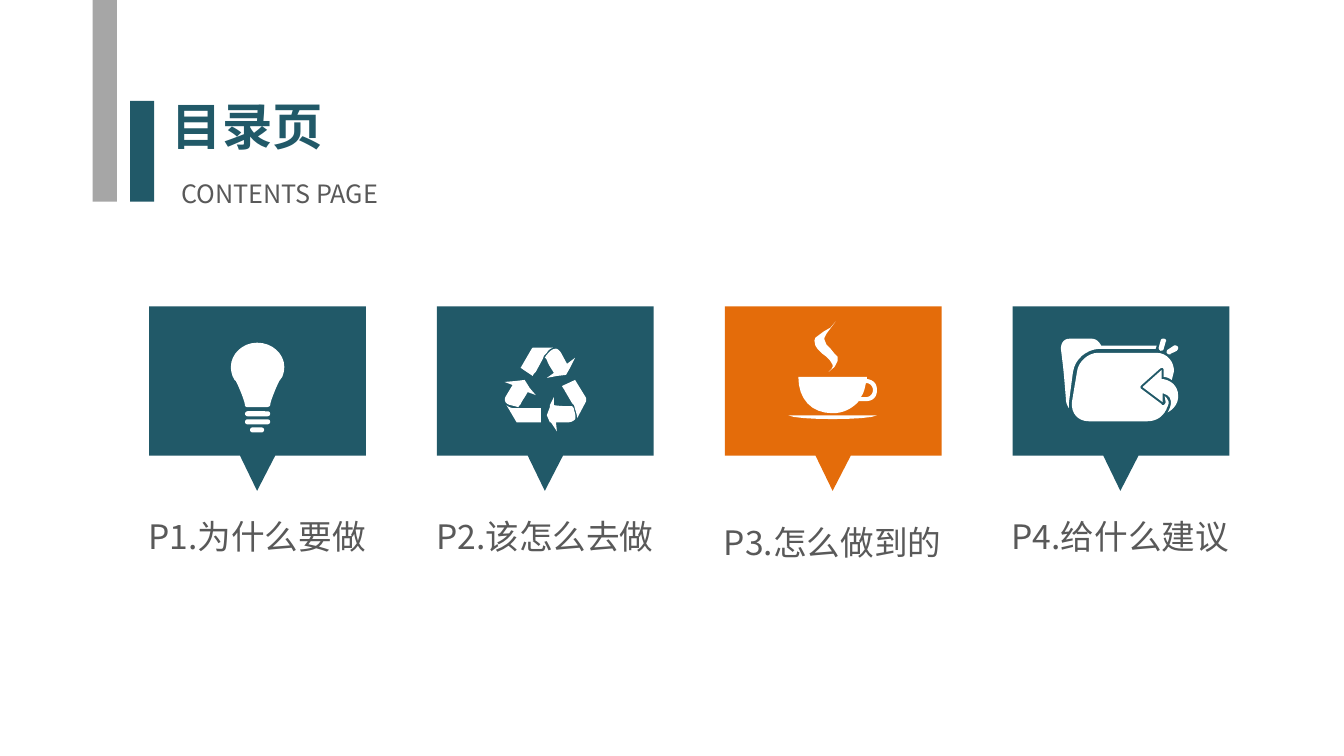
"""Build a contents slide with four callouts, each holding an icon and a caption."""
from pptx import Presentation
from pptx.dml.color import RGBColor
from pptx.enum.shapes import MSO_SHAPE
from pptx.enum.text import MSO_ANCHOR, MSO_AUTO_SIZE, PP_ALIGN
from pptx.oxml.ns import qn
from pptx.util import Inches, Pt

COLORS = {"teal": "215968", "orange": "E46C0A", "silver": "A6A6A6",
          "gray": "595959", "white": "FFFFFF"}
GRID_COLUMNS, GRID_ROWS = 1333, 750
CALLOUT_LEFT, CALLOUT_TOP, CALLOUT_PITCH = 148, 304, 285.4
CALLOUT = "0,0 215,0 215,148 125,148 107,183 90,148 0,148"

BULB = ["""134,60 134,47/122,36/107,36 93,36/81,47/81,60 81,64/82,67/83,70
    84,71/84,73/86,74 90,82/95,95/95,98 95,99/96,100/98,100 116,100
    118,100/120,99/120,98 120,95/125,82/129,74 130,73/131,71/132,70
    133,67/134,64/134,60"""]
BULB_BARS = [(95, 104, 25, 5), (95, 112, 25, 5), (100, 120, 14, 5)]

RECYCLING = ["""132,61 128,68 119,69 109,71 116,66 113,61/110,57/109,53
    108,52/108,51/107,51 108,49/109,48/109,48 112,44/115,42/118,42
    119,42/121,43/123,46 129,57 137,51
    | 109,46 110,44/112,42/115,41 95,41 94,42 83,61 95,69 95,68/97,66/98,65
    105,52 106,49
    | 119,124 118,115 130,115 133,115/135,114/137,112 138,110/137,106/136,103
    136,101/135,100/134,99 133,99/133,99/131,99 127,99/123,99/116,98
    116,90 112,98 112,100 109,108 112,115 113,115
    | 137,102 138,105/139,108/139,111 148,94 148,91 137,73 124,79
    125,81/126,82/127,84 134,96 136,98
    | 67,75 75,78 69,88 67,91/67,93/68,95 70,98/74,98/77,99
    78,99/80,100/81,100 81,99/82,98/83,97 84,94/88,89/90,85
    98,88 92,81 87,73 78,74
    | 77,101 74,101/71,100/69,98 79,115 103,115 103,101"""]

CUP = ["""73,70 73,92/86,106/107,106 118,106/127,101/133,94 140,94
    147,94/151,90/151,83 151,77/148,73/141,72 141,70
    | 140,90 135,90 138,86/139,81/140,76 144,76/147,79/147,83
    147,87/144,90/140,90""",
       "63,108 70,113/144,113/151,108",
       """103,65 109,60 112,54 112,50 109,47 105,42 101,38 99,33 99,31 101,27
    107,19 110,15 105,21 98,25 94,28 90,31 89,34 90,39 92,42 97,47 101,50
    104,53 106,56 107,58 107,60 106,62"""]

FOLDER = ["""147,44 146,44/145,42/145,41 147,34 147,32/149,32/150,32
    152,32/153,34/152,35 150,42 150,43/149,44/147,44""",
          """153,46 153,45/153,43/154,43 160,39 161,38/163,39/164,40
    165,41/164,43/163,44 157,47 157,48/154,48/153,46""",
          """164,85 162,75/152,72/148,72 148,63 129,80 149,95 149,86
    164,90/154,105/154,105 154,105/167,99/164,85""",
          """60,65 62,52/73,43/86,42 142,42 143,39 88,39 86,35/83,32/78,32
    57,32 49,32/48,39/48,42 50,58 51,68 53,92 53,95/54,98/56,101 56,95""",
          """143,46 85,46 75,46/65,55/64,65 59,95 58,106/65,114/76,114
    133,114 141,114/147,111/151,105 152,103/153,102/153,101
    154,99/155,97/155,95 155,94/154,93/153,91 151,89 152,95
    152,96/151,97/150,98 149,98/148,98/148,97 128,82 127,81/127,81/127,80
    127,79/127,79/128,78 146,62 147,61/148,61/149,61 149,61/150,62/150,63
    150,70 153,70/155,71/158,73 160,65 161,55/153,46/143,46"""]

SECTIONS = [
    {"caption": "P1.为什么要做", "color": "teal", "icon": BULB, "bars": BULB_BARS},
    {"caption": "P2.该怎么去做", "color": "teal", "icon": RECYCLING},
    {"caption": "P3.怎么做到的", "color": "orange", "icon": CUP,
     "box": (505, 59), "spacing": 1.2},
    {"caption": "P4.给什么建议", "color": "teal", "icon": FOLDER},
]


def contour_points(contour, steps=8):
    """Turn corner tokens and three-point curve tokens into a list of points."""
    points = []
    for token in contour.split():
        stops = [tuple(map(float, stop.split(","))) for stop in token.split("/")]
        if len(stops) == 1:
            points += stops
            continue
        controls = [points[-1], *stops]
        for step in range(1, steps + 1):
            share = step / steps
            weights = [(1 - share) ** 3, 3 * share * (1 - share) ** 2,
                       3 * share ** 2 * (1 - share), share ** 3]
            points.append(tuple(sum(weight * control[axis] for weight, control
                                    in zip(weights, controls)) for axis in (0, 1)))
    return points


class ContentsSlide:
    """Hold the style and the current slide, and add each kind of element."""

    font_name = "Noto Sans CJK SC"

    def __init__(self, presentation):
        """Add a slide and measure its grid."""
        self.slide = presentation.slides.add_slide(presentation.slide_layouts[0])
        self.column = presentation.slide_width / GRID_COLUMNS
        self.row = presentation.slide_height / GRID_ROWS

    def place(self, left, top, width, height):
        """Convert grid cells to slide lengths."""
        return (round(left * self.column), round(top * self.row),
                round(width * self.column), round(height * self.row))

    def paint(self, shape, color):
        """Give a shape a plain fill."""
        shape.shadow.inherit = False
        shape.fill.solid()
        shape.fill.fore_color.rgb = RGBColor.from_string(COLORS[color])
        shape.line.fill.background()

    def bar(self, cells, color, kind=MSO_SHAPE.RECTANGLE, shapes=None):
        """Add a plain or rounded bar."""
        shape = (shapes or self.slide.shapes).add_shape(kind, *self.place(*cells))
        if kind == MSO_SHAPE.ROUNDED_RECTANGLE:
            shape.adjustments[0] = 0.5
        self.paint(shape, color)

    def outline(self, contours, left, top, color, shapes=None):
        """Add a freeform drawn from contours separated by bars."""
        builder = None
        for contour in contours.split("|"):
            points = [self.place(left + x, top + y, 0, 0)[:2]
                      for x, y in contour_points(contour)]
            if builder is None:
                builder = (shapes or self.slide.shapes).build_freeform(*points[0])
            else:
                builder.move_to(*points[0])
            builder.add_line_segments(points[1:], close=True)
        self.paint(builder.convert_to_shape(), color)

    def icon(self, outlines, bars, left, top):
        """Add a white icon as one group."""
        shapes = self.slide.shapes.add_group_shape().shapes
        for contours in outlines:
            self.outline(contours, left, top, "white", shapes)
        for x, y, width, height in bars:
            self.bar((left + x, top + y, width, height), "white",
                     MSO_SHAPE.ROUNDED_RECTANGLE, shapes)

    def text(self, content, cells, size, color, shape=None, bold=False, spacing=1.0):
        """Write centred text in a placeholder or a new text box."""
        box = self.place(*cells)
        shape = shape or self.slide.shapes.add_textbox(*box)
        frame = shape.text_frame
        paragraph = frame.paragraphs[0]
        run = paragraph.add_run()
        run.text = content
        formats = [
            (shape, dict(zip(("left", "top", "width", "height"), box))),
            (frame, {"word_wrap": True, "vertical_anchor": MSO_ANCHOR.TOP,
                     "auto_size": MSO_AUTO_SIZE.SHAPE_TO_FIT_TEXT}),
            (paragraph, {"alignment": PP_ALIGN.CENTER, "line_spacing": spacing,
                         "space_before": Pt(0)}),
            (run.font, {"name": self.font_name, "size": Pt(size), "bold": bold}),
        ]
        for target, values in formats:
            for name, value in values.items():
                setattr(target, name, value)
        run.font.color.rgb = RGBColor.from_string(COLORS[color])
        east_asian = run.font._element.makeelement(
            qn("a:ea"), {"typeface": self.font_name})
        run.font._element.find(qn("a:latin")).addnext(east_asian)


def main():
    """Build and save the presentation."""
    presentation = Presentation()
    presentation.slide_width, presentation.slide_height = Inches(13.33), Inches(7.5)
    contents = ContentsSlide(presentation)
    title, subtitle = contents.slide.placeholders
    contents.bar((92, 0, 24, 200), "silver")
    contents.bar((129, 100, 24, 100), "teal")
    contents.text("目录页", (156, 89, 179, 71), 36, "teal", title, bold=True)
    contents.text("CONTENTS PAGE", (164, 172, 227, 40), 18, "gray", subtitle)
    for index, section in enumerate(SECTIONS):
        left = CALLOUT_LEFT + index * CALLOUT_PITCH
        contents.outline(CALLOUT, left, CALLOUT_TOP, section["color"])
        contents.icon(section["icon"], section.get("bars", []), left, CALLOUT_TOP)
        top, height = section.get("box", (507, 50))
        contents.text(section["caption"], (left - 26, top, 266, height), 24, "gray",
                      spacing=section.get("spacing", 1.0))
    presentation.save("out.pptx")


if __name__ == "__main__":
    main()
